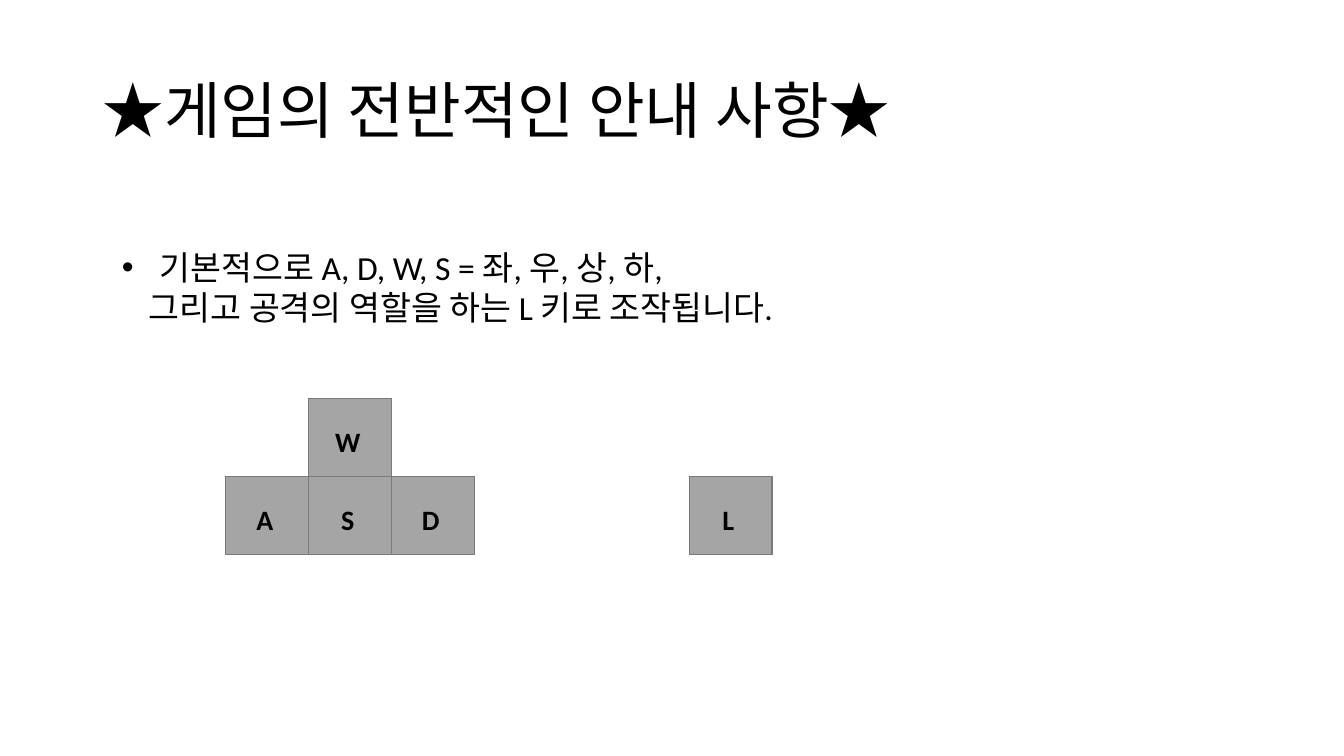
from dataclasses import dataclass

from lxml.etree import SubElement
from pptx import Presentation
from pptx.dml.color import RGBColor
from pptx.enum.shapes import MSO_SHAPE
from pptx.enum.text import MSO_ANCHOR, MSO_AUTO_SIZE, PP_ALIGN
from pptx.oxml.ns import qn
from pptx.util import Cm, Pt


@dataclass(frozen=True)
class Theme:
    font: str = "Calibri"
    ink: RGBColor = RGBColor(0x00, 0x00, 0x00)
    key_fill: RGBColor = RGBColor(0xA5, 0xA5, 0xA5)
    key_line: RGBColor = RGBColor(0x7A, 0x7A, 0x7A)
    title_size: int = 44
    body_size: int = 24
    key_size: int = 20


class GuideSlide:
    def __init__(self, presentation, theme):
        self.theme = theme
        self.slide = presentation.slides.add_slide(presentation.slide_layouts[5])

    def style(self, paragraph, size, bold=False):
        font = paragraph.font
        font.name = self.theme.font
        font.size = Pt(size)
        font.bold = bold
        font.color.rgb = self.theme.ink

    def title(self, text, left, top, width, height):
        title = self.slide.shapes.title
        title.left, title.top = Cm(left), Cm(top)
        title.width, title.height = Cm(width), Cm(height)
        frame = title.text_frame
        frame.text = text
        frame.auto_size = MSO_AUTO_SIZE.NONE
        frame.vertical_anchor = MSO_ANCHOR.MIDDLE
        heading = frame.paragraphs[0]
        heading.alignment = PP_ALIGN.LEFT
        heading.line_spacing = 0.9
        self.style(heading, self.theme.title_size)

    def bullet_note(self, lead, continuation, left, top, width, height):
        """Add a bulleted line followed by an indented line without a bullet."""
        note = self.slide.shapes.add_textbox(Cm(left), Cm(top), Cm(width), Cm(height))
        frame = note.text_frame
        frame.word_wrap = True
        frame.text = f"{lead}\n{continuation}"
        for paragraph, margin, hanging in zip(frame.paragraphs, (0.95, 0.68), (0.95, 0)):
            properties = paragraph._p.get_or_add_pPr()
            properties.set("marL", str(Cm(margin)))
            properties.set("indent", str(-Cm(hanging)))
            if hanging:
                SubElement(properties, qn("a:buFont"), typeface="Arial")
                SubElement(properties, qn("a:buChar"), char="•")
            self.style(paragraph, self.theme.body_size)

    def key_cluster(self, keys, left, top, width, height):
        """Group keys given as letter: (column, row) on a grid of touching cells."""
        cluster = self.slide.shapes.add_group_shape()
        for letter, (column, row) in keys.items():
            key = cluster.shapes.add_shape(
                MSO_SHAPE.RECTANGLE,
                Cm(left + column * width), Cm(top + row * height), Cm(width), Cm(height),
            )
            key.shadow.inherit = False
            key.fill.solid()
            key.fill.fore_color.rgb = self.theme.key_fill
            key.line.color.rgb = self.theme.key_line
            key.line.width = Pt(1)
            frame = key.text_frame
            frame.text = letter
            frame.margin_left = frame.margin_bottom = 0
            frame.margin_right, frame.margin_top = Cm(0.12), Cm(0.18)
            frame.vertical_anchor = MSO_ANCHOR.MIDDLE
            frame.paragraphs[0].alignment = PP_ALIGN.CENTER
            self.style(frame.paragraphs[0], self.theme.key_size, bold=True)


def main():
    presentation = Presentation()
    presentation.slide_width, presentation.slide_height = Cm(33.87), Cm(19.05)

    guide = GuideSlide(presentation, Theme())
    guide.title("★게임의 전반적인 안내 사항★", 2.33, 1.02, 29.21, 3.68)
    guide.bullet_note(
        "기본적으로 A, D, W, S = 좌, 우, 상, 하,",
        "그리고 공격의 역할을 하는 L 키로 조작됩니다.",
        2.82, 6.1, 28.73, 2.31,
    )
    key_size = {"width": 2.09, "height": 1.97}
    movement_keys = {"W": (1, 0), "A": (0, 1), "S": (1, 1), "D": (2, 1)}
    guide.key_cluster(movement_keys, 5.69, 10.04, **key_size)
    guide.key_cluster({"L": (0, 0)}, 17.37, 12.01, **key_size)

    presentation.save("out.pptx")


if __name__ == "__main__":
    main()
